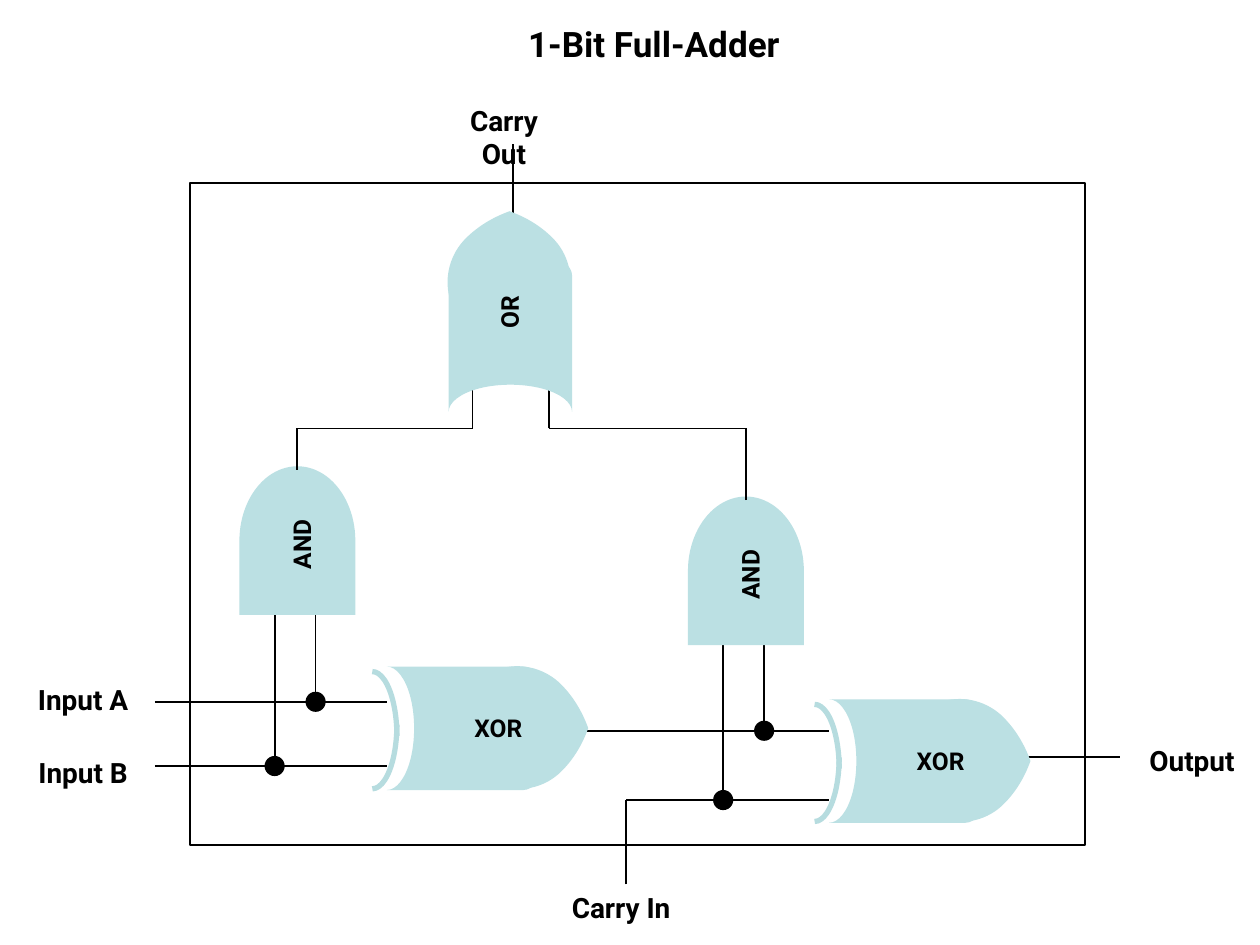
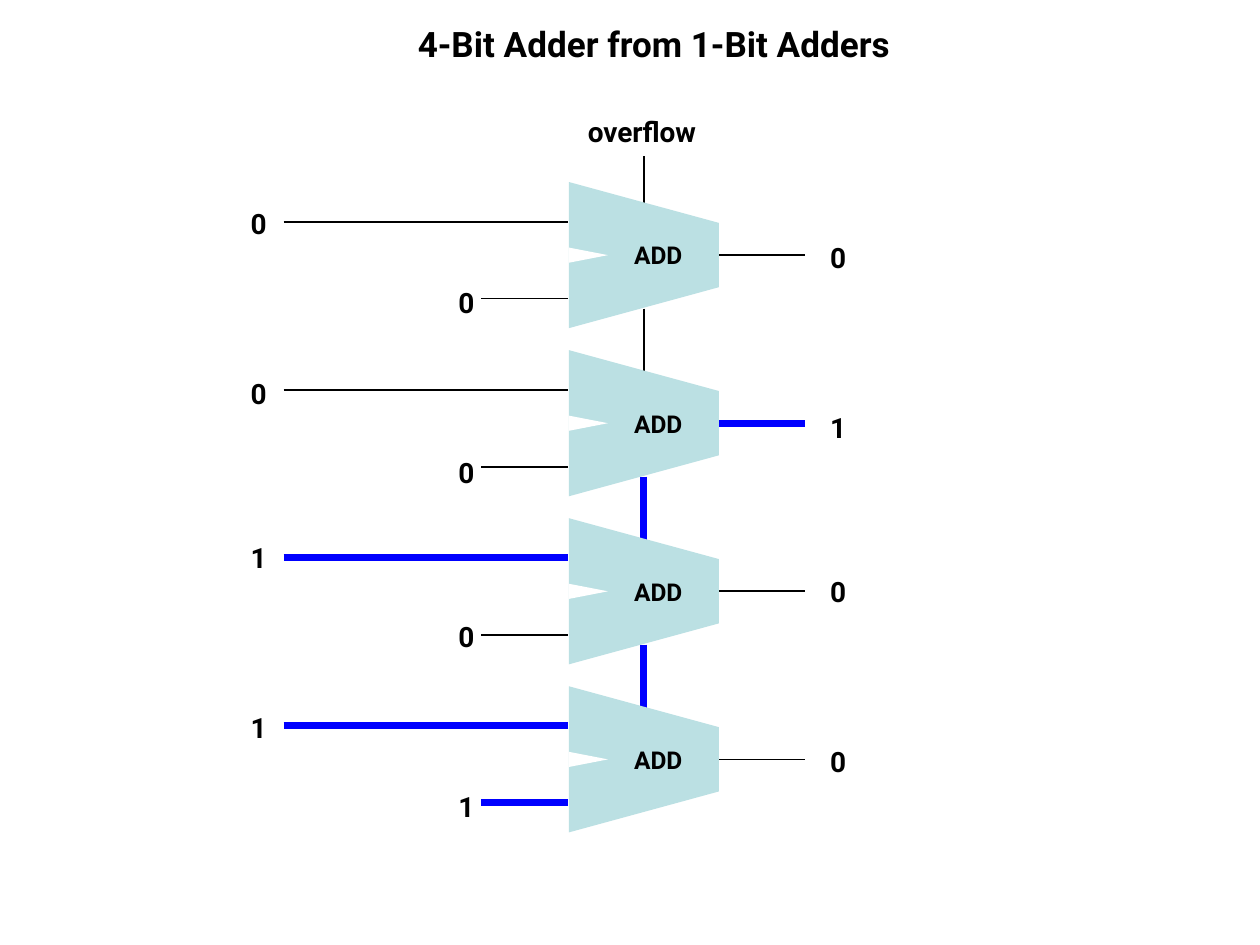
from itertools import pairwise

from lxml.etree import SubElement
from pptx import Presentation
from pptx.dml.color import RGBColor
from pptx.enum.shapes import MSO_CONNECTOR, MSO_SHAPE as Shape
from pptx.enum.text import MSO_ANCHOR, PP_ALIGN
from pptx.oxml.ns import qn
from pptx.util import Inches, Pt

BLACK = RGBColor(0x00, 0x00, 0x00)
WHITE = RGBColor(0xFF, 0xFF, 0xFF)
SIGNAL_BLUE = RGBColor(0x00, 0x00, 0xFF)
GATE_FILL = RGBColor(0xBB, 0xE0, 0xE3)
GATE_EDGE = RGBColor(0xB6, 0xDC, 0xDF)

FONT = "Roboto"
TITLE_SIZE, LABEL_SIZE, GATE_SIZE = 20, 16, 14
COLUMNS, ROWS = 100, 75  # grid cells across and down the slide


class Diagram:
    """Holds the style and the current slide; lengths are grid columns and rows."""

    def __init__(self, presentation):
        self.presentation = presentation
        self.column = presentation.slide_width / COLUMNS
        self.row = presentation.slide_height / ROWS
        self.slide = None

    def place(self, left, top, width, height):
        return (round(left * self.column), round(top * self.row),
                round(width * self.column), round(height * self.row))

    def style_text(self, shape, text, size):
        frame = shape.text_frame
        frame.text = text
        frame.word_wrap = True
        frame.vertical_anchor = MSO_ANCHOR.TOP
        paragraph = frame.paragraphs[0]
        paragraph.alignment = PP_ALIGN.CENTER
        font = paragraph.runs[0].font
        font.name, font.size, font.bold = FONT, Pt(size), True
        font.color.rgb = BLACK

    def new_slide(self, title):
        self.slide = self.presentation.slides.add_slide(
            self.presentation.slide_layouts[5])
        shape = self.slide.shapes.title
        shape.left, shape.top, shape.width, shape.height = self.place(
            25.4, 1.3, 53, 4.4)
        self.style_text(shape, title, TITLE_SIZE)

    def label(self, text, left, top, width, height, size=LABEL_SIZE, rotation=0):
        shape = self.slide.shapes.add_textbox(
            *self.place(left, top, width, height))
        shape.rotation = rotation
        self.style_text(shape, text, size)

    def shape(self, kind, left, top, width, height, fill=GATE_FILL,
              line=None, line_width=1, rotation=0, adjustments=()):
        shape = self.slide.shapes.add_shape(
            kind, *self.place(left, top, width, height))
        shape.shadow.inherit = False
        shape.rotation = rotation
        for index, value in enumerate(adjustments):
            shape.adjustments[index] = value
        if fill is None:
            shape.fill.background()
        else:
            shape.fill.solid()
            shape.fill.fore_color.rgb = fill
        if line is None:
            shape.line.fill.background()
        else:
            shape.line.color.rgb = line
            shape.line.width = Pt(line_width)

    def wire(self, *points, on=False):
        """Joins the points in turn; a wire that is on is thick and blue."""
        for start, end in pairwise(points):
            connector = self.slide.shapes.add_connector(
                MSO_CONNECTOR.STRAIGHT, *self.place(*start, *end))
            connector.line.color.rgb = SIGNAL_BLUE if on else BLACK
            connector.line.width = Pt(4 if on else 1)
            SubElement(connector._element.spPr, qn("a:effectLst"))

    def dot(self, column, row, size=1.6):
        self.shape(Shape.OVAL, column - size / 2, row - size / 2,
                   size, size, fill=BLACK)

    def xor_gate(self, left, top):
        self.shape(Shape.FLOWCHART_STORED_DATA, left, top, 13, 9.8, rotation=180)
        self.shape(Shape.TEAR, left + 5.5, top, 9.8, 9.7,
                   rotation=45.2, adjustments=[0.81])
        # Upper quarter arc, then lower quarter arc
        for shift, angles in ((0.4, ()), (-0.5, (0, 54))):
            self.shape(Shape.ARC, left - 3.1, top + shift, 3.9, 10.2, fill=None,
                       line=GATE_EDGE, line_width=3, adjustments=angles)
        self.label("XOR", left + 4.2, top + 3.2, 9.3, 3.4, GATE_SIZE)

    def or_gate(self, left, top):
        self.shape(Shape.FLOWCHART_STORED_DATA, left, top, 13, 9.8, rotation=90)
        self.shape(Shape.TEAR, left + 1.5, top - 3.8, 9.8, 9.7,
                   rotation=315.2, adjustments=[0.81])
        self.label("OR", left + 2.8, top + 1.8, 7.3, 3.4, GATE_SIZE, 270)

    def and_gate(self, left, top, output_row, tap_rows):
        """Each input is tapped from a horizontal wire at its tap row."""
        taps = list(zip((left + 4.1, left + 7.35), tap_rows))
        for column, row in taps:
            self.wire((column, row), (column, top + 6.2))
        self.shape(Shape.FLOWCHART_DELAY, left, top, 11.8, 9.2, rotation=270)
        self.label("AND", left + 1.6, top + 3.2, 9.3, 3.4, GATE_SIZE, 270)
        self.wire((left + 5.9, top - 1), (left + 5.9, output_row))
        for column, row in taps:
            self.dot(column, row)

    def adder(self, top, input_a, input_b, output, carry, carry_top, label_top):
        # Carry, body and notch
        self.wire((51.1, carry_top), (51.1, top + 2.2), on=carry)
        self.shape(Shape.TRAPEZOID, 45.3, top, 11.6, 11.9,
                   rotation=90, adjustments=[0.28])
        self.shape(Shape.ISOSCELES_TRIANGLE, 46.1, top + 4.4, 1.2, 3.1,
                   fill=WHITE, rotation=90)
        self.label("ADD", 47.6, top + 4.3, 9.3, 3.4, GATE_SIZE)
        # Bit, wire start, wire end, wire drop, label column, label drop
        for bit, start, end, drop, column, label_drop in (
                (input_a, 22.5, 45.1, 3.3, 18.9, 0),
                (input_b, 38.2, 45.1, 9.4, 35.4, 6.3),
                (output, 57.1, 63.9, 5.95, 64.9, 2.7)):
            self.wire((start, top + drop), (end, top + drop), on=bit == 1)
            self.label(str(bit), column, label_top + label_drop, 2.1, 2.7)


def build_full_adder(diagram):
    diagram.new_slide("1-Bit Full-Adder")
    diagram.shape(Shape.RECTANGLE, 15.1, 14.5, 71, 52.6, fill=None, line=BLACK)

    # Rows of the horizontal wires
    row_a, row_b, row_sum, row_carry, row_join = 55.7, 60.8, 58, 63.5, 34

    # Wires that run behind the gates
    diagram.wire((12.3, row_a), (30.7, row_a))
    diagram.wire((12.3, row_b), (30.7, row_b))
    diagram.wire((44.1, row_sum), (65.8, row_sum))
    diagram.wire((49.7, 70.2), (49.7, row_carry), (65.8, row_carry))
    diagram.wire((74.8, 60.1), (88.9, 60.1))
    diagram.wire((40.7, 18.2), (40.7, 11.4))
    diagram.wire((23.6, row_join), (37.5, row_join), (37.5, 30.4))
    diagram.wire((59.2, row_join), (43.6, row_join), (43.6, 30.4))

    # Gates
    diagram.or_gate(34, 21.3)
    diagram.xor_gate(30.7, 52.9)
    diagram.xor_gate(65.8, 55.5)
    diagram.and_gate(17.7, 38.3, row_join, (row_b, row_a))
    diagram.and_gate(53.3, 40.7, row_join, (row_carry, row_sum))

    # Terminal names
    for name, left, top, width in (("Input A", 0.9, 53.7, 11.4),
                                   ("Input B", 0.9, 59.5, 11.4),
                                   ("Carry In", 43.6, 70.2, 11.4),
                                   ("Carry Out", 34.3, 7.7, 11.4),
                                   ("Output", 89.7, 58.5, 9.8)):
        diagram.label(name, left, top, width, 3.1)


def build_four_bit_adder(diagram):
    diagram.new_slide("4-Bit Adder from 1-Bit Adders")
    first_top, pitch = 14.3, 13.34
    # Input A, input B, output, carry out, label row; highest bit first
    stages = ((0, 0, 0, False, 15.9),
              (0, 0, 1, False, 29.4),
              (1, 0, 0, True, 42.4),
              (1, 1, 0, True, 55.9))
    for index, (input_a, input_b, output, carry, label_top) in enumerate(stages):
        top = first_top + index * pitch
        carry_top = top - 3.15 if index else 12.4
        diagram.adder(top, input_a, input_b, output, carry, carry_top, label_top)
    diagram.label("overflow", 45, 8.6, 11.9, 3.8)


def main():
    presentation = Presentation()
    presentation.slide_width, presentation.slide_height = Inches(10), Inches(7.5)
    diagram = Diagram(presentation)
    build_full_adder(diagram)
    build_four_bit_adder(diagram)
    presentation.save("out.pptx")


if __name__ == "__main__":
    main()
